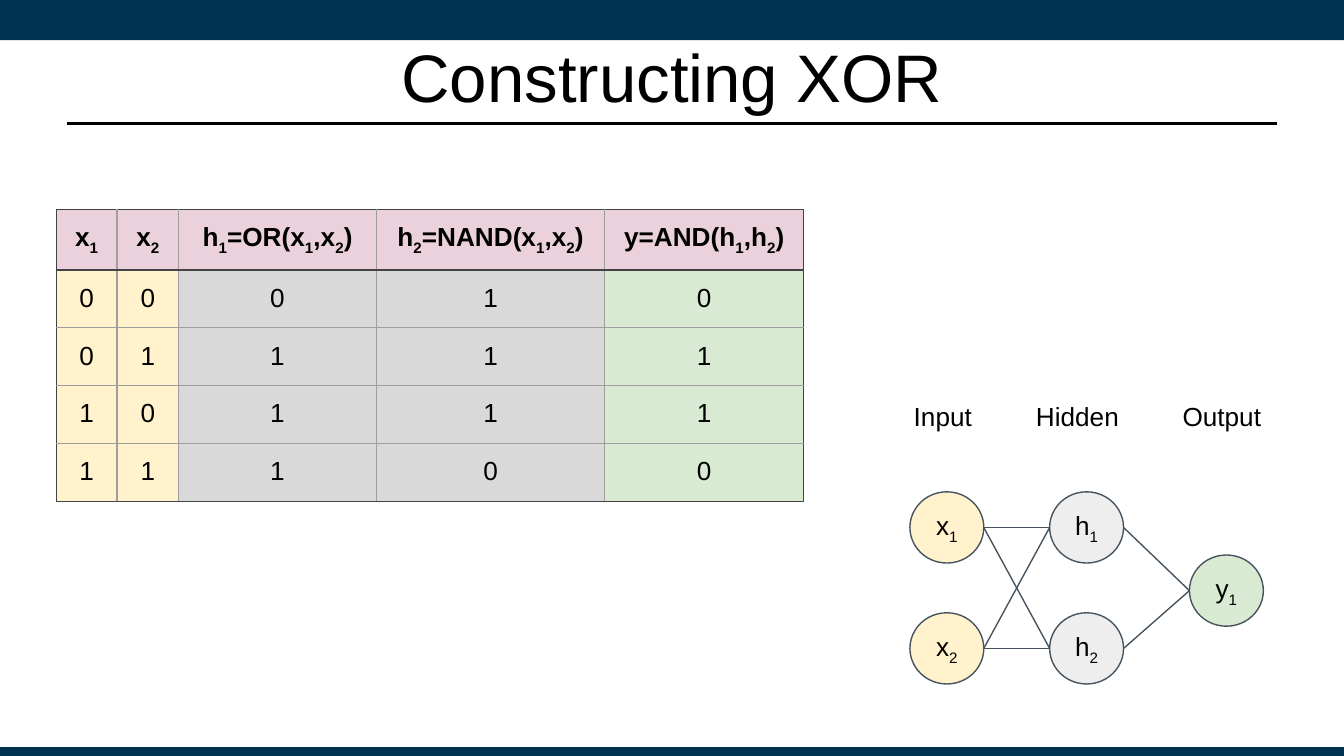
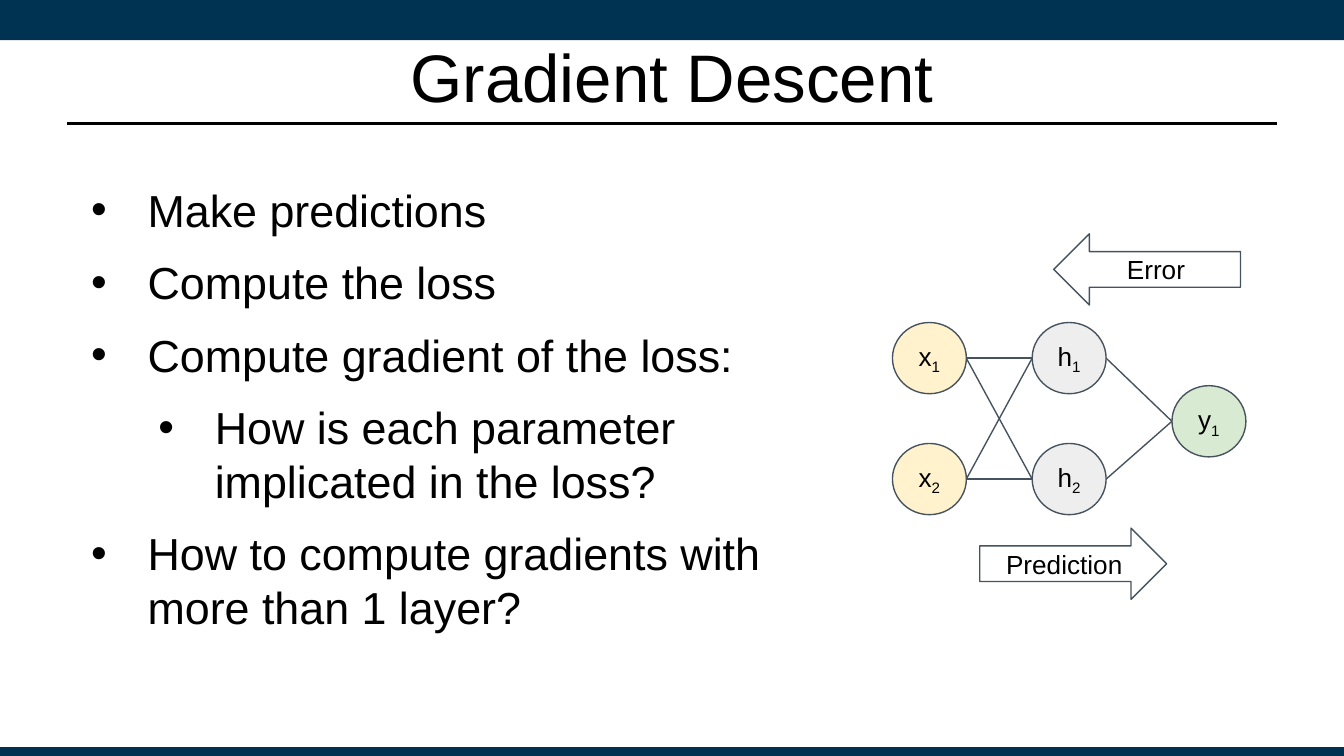
from itertools import product

from lxml import etree
from pptx import Presentation
from pptx.dml.color import RGBColor
from pptx.enum.shapes import MSO_CONNECTOR, MSO_SHAPE
from pptx.enum.text import MSO_ANCHOR, MSO_AUTO_SIZE, PP_ALIGN
from pptx.oxml.ns import qn
from pptx.util import Inches, Pt

FONT = "Arial"
COLORS = {
    "navy": "003252", "black": "000000", "white": "FFFFFF", "outline": "46535E",
    "header": "EAD1DC", "input": "FFF2CC", "hidden": "D9D9D9", "output": "D9EAD3",
    "hidden_node": "EEEEEE", "grid": "9E9E9E", "frame": "434343",
}

TRUTH_TABLE = [
    ["x_1", "x_2", "h_1=OR(x_1,x_2)", "h_2=NAND(x_1,x_2)", "y=AND(h_1,h_2)"],
    ["0", "0", "0", "1", "0"],
    ["0", "1", "1", "1", "1"],
    ["1", "0", "1", "1", "1"],
    ["1", "1", "1", "0", "0"],
]
COLUMN_WIDTHS = [0.45, 0.46, 1.47, 1.7, 1.48]
COLUMN_FILLS = ["input", "input", "hidden", "hidden", "output"]
ROW_HEIGHT = 0.43

NODE_W, NODE_H = 0.55, 0.53
LAYER_STEP, NODE_STEP, OUTPUT_DROP = 1.04, 0.9, 0.47

LAYER_LABELS = [("Input", 6.7, 0.82), ("Hidden", 7.61, 0.87), ("Output", 8.7, 0.82)]
STEPS = [
    (0, "Make predictions"),
    (0, "Compute the loss"),
    (0, "Compute gradient of the loss:"),
    (1, "How is each parameter implicated in the loss?"),
    (0, "How to compute gradients with more than 1 layer?"),
]


def rgb(name):
    return RGBColor.from_string(COLORS[name])


def box(*lengths):
    return [Inches(n) for n in lengths]


def add_run(p, text, size, bold=False, subscript=False):
    r = p.add_run()
    r.text = text
    r.font.name = FONT
    r.font.size = Pt(size)
    r.font.bold = bold
    r.font.color.rgb = rgb("black")
    if subscript:
        r._r.get_or_add_rPr().set("baseline", "-25000")


def write(p, text, size=14, bold=False, align=PP_ALIGN.CENTER):
    """Fill a paragraph; the character after each underscore is a subscript."""
    p.alignment = align
    first, *rest = text.split("_")
    add_run(p, first, size, bold)
    for part in rest:
        add_run(p, part[0], size, bold, subscript=True)
        if part[1:]:
            add_run(p, part[1:], size, bold)


def set_frame(tf, inset_y=0.1, anchor=MSO_ANCHOR.MIDDLE):
    tf.word_wrap = True
    tf.auto_size = MSO_AUTO_SIZE.NONE
    tf.vertical_anchor = anchor
    tf.margin_left = tf.margin_right = Inches(0.1)
    tf.margin_top = tf.margin_bottom = Inches(inset_y)


def add_box(s, kind, at, fill, line=None, text=None):
    sp = s.shapes.add_shape(kind, *box(*at))
    sp.shadow.inherit = False
    sp.fill.solid()
    sp.fill.fore_color.rgb = rgb(fill)
    if line:
        sp.line.color.rgb = rgb(line)
        sp.line.width = Pt(0.75)
    else:
        sp.line.fill.background()
    if text:
        set_frame(sp.text_frame)
        write(sp.text_frame.paragraphs[0], text)


def add_line(s, start, end, color="outline", width=0.75):
    c = s.shapes.add_connector(MSO_CONNECTOR.STRAIGHT, *box(*start, *end))
    c.line.color.rgb = rgb(color)
    c.line.width = Pt(width)
    etree.SubElement(c._element.spPr, qn("a:effectLst"))


def add_text_box(s, at, inset_y=0.1):
    tf = s.shapes.add_textbox(*box(*at)).text_frame
    set_frame(tf, inset_y, MSO_ANCHOR.TOP)
    return tf


def add_titled_slide(prs, title):
    """Add a slide with the shared bands, rule and title."""
    s = prs.slides.add_slide(prs.slide_layouts[5])
    add_box(s, MSO_SHAPE.RECTANGLE, (0, 0, 10, 0.3), "navy")
    add_box(s, MSO_SHAPE.RECTANGLE, (0, 5.56, 10, 0.08), "navy")
    add_line(s, (0.5, 0.92), (9.5, 0.92), "black", 1.25)
    sp = s.shapes.title
    sp.left, sp.top, sp.width, sp.height = box(0.5, 0.25, 9, 0.63)
    set_frame(sp.text_frame, 0.05)
    write(sp.text_frame.paragraphs[0], title, 36)
    return s


def set_borders(cell, colors):
    """Draw the left, right, top and bottom borders, in that order."""
    tc_pr = cell._tc.get_or_add_tcPr()
    for side, color in zip("LRTB", colors):
        ln = etree.SubElement(tc_pr, qn(f"a:ln{side}"), w=str(Pt(0.75)))
        fill = etree.SubElement(ln, qn("a:solidFill"))
        etree.SubElement(fill, qn("a:srgbClr"), val=COLORS[color])


def add_truth_table(s, left, top):
    rows, cols = len(TRUTH_TABLE), len(COLUMN_WIDTHS)
    size = sum(COLUMN_WIDTHS), rows * ROW_HEIGHT
    table = s.shapes.add_table(rows, cols, *box(left, top, *size)).table
    table.first_row = table.horz_banding = False
    for column, width in zip(table.columns, COLUMN_WIDTHS):
        column.width = Inches(width)
    for row in table.rows:
        row.height = Inches(ROW_HEIGHT)
    for i, j in product(range(rows), range(cols)):
        cell = table.cell(i, j)
        framed = (j == 0, j == cols - 1, i <= 1, i in (0, rows - 1))
        set_borders(cell, ["frame" if f else "grid" for f in framed])
        cell.fill.solid()
        cell.fill.fore_color.rgb = rgb(COLUMN_FILLS[j] if i else "header")
        cell.margin_left = cell.margin_right = Inches(0.1)
        cell.margin_top = cell.margin_bottom = Inches(0.1)
        write(cell.text_frame.paragraphs[0], TRUTH_TABLE[i][j], bold=i == 0)


def add_network(s, left, top):
    """Draw two inputs, two hidden units and one output, fully connected."""
    pair = [top, top + NODE_STEP]
    layers = [
        ("x", "input", pair),
        ("h", "hidden_node", pair),
        ("y", "output", [top + OUTPUT_DROP]),
    ]
    for i, (name, fill, tops) in enumerate(layers):
        x = left + i * LAYER_STEP
        for n, y in enumerate(tops, 1):
            add_box(s, MSO_SHAPE.OVAL, (x, y, NODE_W, NODE_H), fill, "outline", f"{name}_{n}")
    for i, (layer, following) in enumerate(zip(layers, layers[1:])):
        x = left + i * LAYER_STEP
        for y1, y2 in product(layer[2], following[2]):
            add_line(s, (x + NODE_W, y1 + NODE_H / 2), (x + LAYER_STEP, y2 + NODE_H / 2))


def add_bullets(s, at, items):
    tf = add_text_box(s, at, 0.05)
    for i, (level, text) in enumerate(items):
        p = tf.add_paragraph() if i else tf.paragraphs[0]
        p.level = level
        if i:
            p.space_before = Pt(10)
        p_pr = p._p.get_or_add_pPr()
        p_pr.set("marL", str(Inches(0.5 + 0.5 * level)))
        p_pr.set("indent", str(Inches(-0.42)))
        etree.SubElement(p_pr, qn("a:buFont"), typeface=FONT)
        etree.SubElement(p_pr, qn("a:buChar"), char="•")
        write(p, text, 24, align=PP_ALIGN.LEFT)


def build_xor(prs):
    s = add_titled_slide(prs, "Constructing XOR")
    add_truth_table(s, 0.42, 1.56)
    add_network(s, 6.77, 3.66)
    for text, left, width in LAYER_LABELS:
        tf = add_text_box(s, (left, 2.88, width, 0.44))
        write(tf.paragraphs[0], text, align=PP_ALIGN.LEFT)


def build_gradient_descent(prs):
    s = add_titled_slide(prs, "Gradient Descent")
    add_bullets(s, (0.5, 1.31, 5.86, 3.71), STEPS)
    add_network(s, 6.64, 2.4)
    add_box(s, MSO_SHAPE.LEFT_ARROW, (7.84, 1.74, 1.39, 0.53), "white", "outline", "Error")
    add_box(s, MSO_SHAPE.RIGHT_ARROW, (7.29, 3.93, 1.39, 0.53), "white", "outline", "Prediction")


def main():
    prs = Presentation()
    prs.slide_width = Inches(10)
    prs.slide_height = prs.slide_width * 9 // 16
    build_xor(prs)
    build_gradient_descent(prs)
    prs.save("out.pptx")


if __name__ == "__main__":
    main()
